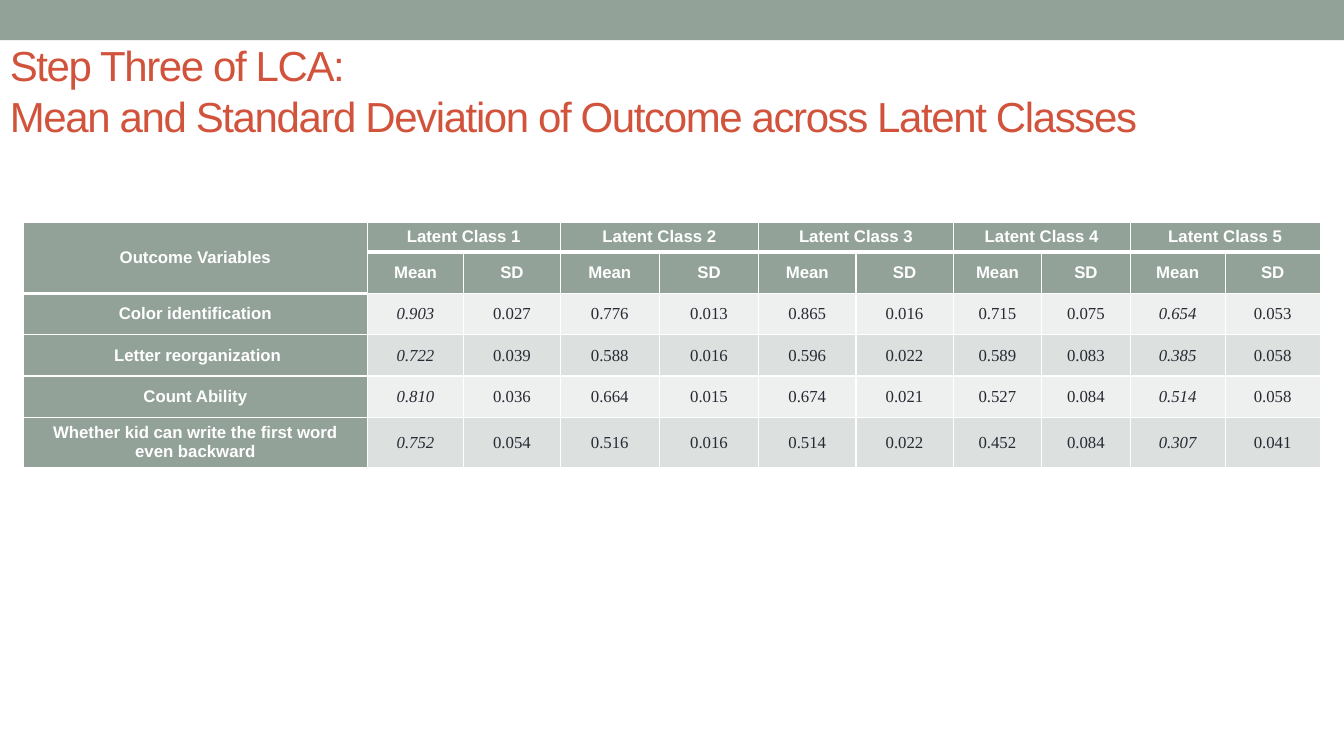
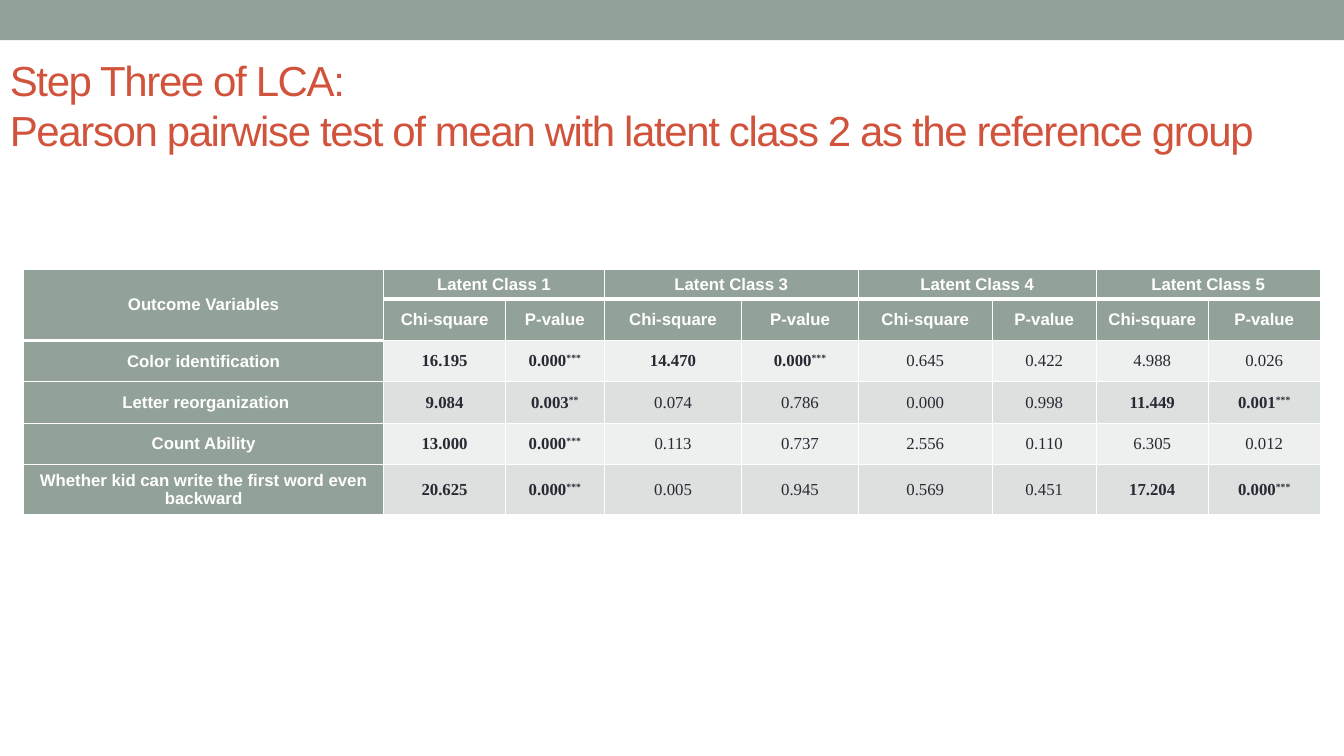
import dataclasses
import typing

import lxml.etree
import pptx
import pptx.dml.color
import pptx.enum.shapes
import pptx.enum.text
import pptx.oxml.ns
import pptx.util

Pt = pptx.util.Pt
qn = pptx.oxml.ns.qn

SAGE, RUST, INK, WHITE = "93A299", "D2533C", "292934", "FFFFFF"
BANDS = ("EEF0EF", "DCE0DE")
WIDE, HIGH = 960, 540
LEFT = 16.7
HEAD_ROW, BODY_ROW = 20.2, 29.5
THIN, THICK = 1, 3

TITLE = {"name": "Arial", "size": Pt(30)}
LABEL = {"name": "Arial", "size": Pt(12), "bold": True, "italic": False}
VALUE = {"name": "Times New Roman", "size": Pt(12), "bold": False, "italic": False}
MIDDLE = pptx.enum.text.MSO_ANCHOR.MIDDLE
CENTER = pptx.enum.text.PP_ALIGN.CENTER

LEAD = "Step Three of LCA:"
CORNER = "Outcome Variables"
TRAITS = (
    "Color identification",
    " Letter reorganization",
    "Count Ability",
    "Whether kid can write the first word even backward",
)


@dataclasses.dataclass(frozen=True)
class Box:
    x: float
    y: float
    w: float
    h: float

    def place(self) -> list:
        return [Pt(side) for side in (self.x, self.y, self.w, self.h)]


@dataclasses.dataclass(frozen=True)
class Page:
    title: str
    frame: Box
    top: float
    groups: tuple
    pair: tuple
    widths: tuple
    rows: tuple
    slanted: tuple = ()


PAGES = (
    Page(
        title="Mean and Standard Deviation of Outcome across Latent Classes",
        frame=Box(0, 46, 864, 37),
        top=158.5,
        groups=(1, 2, 3, 4, 5),
        pair=("Mean", "SD"),
        widths=(245.7, 68.9, 68.9, 70.9, 70.9, 69.5, 69.5, 63.2, 63.2, 67.9, 67.9),
        rows=(
            "0.903 0.027 0.776 0.013 0.865 0.016 0.715 0.075 0.654 0.053",
            "0.722 0.039 0.588 0.016 0.596 0.022 0.589 0.083 0.385 0.058",
            "0.810 0.036 0.664 0.015 0.674 0.021 0.527 0.084 0.514 0.058",
            "0.752 0.054 0.516 0.016 0.514 0.022 0.452 0.084 0.307 0.041",
        ),
        slanted=(1, 9),
    ),
    Page(
        title="Pearson pairwise test of mean with latent class 2 as the reference group",
        frame=Box(0, 31, 943, 88),
        top=192.2,
        groups=(1, 3, 4, 5),
        pair=("Chi-square", "P-value"),
        widths=(257.5, 86.8, 70.7, 98.2, 83.2, 95.7, 74.3, 80, 80),
        rows=(
            "16.195 0.000*** 14.470 0.000*** 0.645 0.422 4.988 0.026",
            "9.084 0.003** 0.074 0.786 0.000 0.998 11.449 0.001***",
            "13.000 0.000*** 0.113 0.737 2.556 0.110 6.305 0.012",
            "20.625 0.000*** 0.005 0.945 0.569 0.451 17.204 0.000***",
        ),
    ),
)


def tint(color: typing.Any, shade: str) -> None:
    color.rgb = pptx.dml.color.RGBColor.from_string(shade)


def flood(fill: typing.Any, shade: str) -> None:
    fill.solid()
    tint(fill.fore_color, shade)


def write(para: typing.Any, text: str, form: dict, shade: str, **marks: str) -> None:
    run = para.add_run()
    run.text = text
    for key, value in form.items():
        setattr(run.font, key, value)
    tint(run.font.color, shade)
    for key, value in marks.items():
        run._r.get_or_add_rPr().set(key, value)


def edge(cell: typing.Any, top: int, bottom: int) -> None:
    sides = {"a:lnL": THIN, "a:lnR": THIN, "a:lnT": top, "a:lnB": bottom}
    props = cell._tc.get_or_add_tcPr()
    for tag, width in sides.items():
        line = lxml.etree.SubElement(props, qn(tag), w=str(int(Pt(width))))
        solid = lxml.etree.SubElement(line, qn("a:solidFill"))
        lxml.etree.SubElement(solid, qn("a:srgbClr"), val=WHITE)


def draw_band(slide: typing.Any) -> None:
    band = slide.shapes.add_shape(
        pptx.enum.shapes.MSO_SHAPE.RECTANGLE, *Box(0, 0, WIDE, 28.8).place()
    )
    band.shadow.inherit = False
    band.line.fill.background()
    flood(band.fill, SAGE)


def draw_title(slide: typing.Any, page: Page) -> None:
    frame = slide.shapes.add_textbox(*page.frame.place()).text_frame
    frame.word_wrap = True
    frame.vertical_anchor = MIDDLE
    para = frame.paragraphs[0]
    para.line_spacing = Pt(36)
    write(para, LEAD, TITLE, RUST, spc="-100")
    para.add_line_break()
    write(para, page.title, TITLE, RUST, spc="-100")


def make_grid(page: Page) -> list:
    heads = [CORNER]
    for group in page.groups:
        heads += [f"Latent Class {group}", ""]
    names = ["", *page.pair * len(page.groups)]
    body = [[trait, *row.split()] for trait, row in zip(TRAITS, page.rows)]
    return [heads, names, *body]


def fill_cell(cell: typing.Any, page: Page, row: list, r: int, c: int) -> None:
    label = r < 2 or c == 0
    edge(
        cell,
        THICK if r == 1 or (r == 2 and c == 0) else THIN,
        THICK if r == 0 or (r == 1 and c == 0) else THIN,
    )
    flood(cell.fill, SAGE if label else BANDS[r % 2])
    cell.vertical_anchor = MIDDLE
    para = cell.text_frame.paragraphs[0]
    para.alignment = CENTER
    if not row[c]:
        return
    if label:
        write(para, row[c], LABEL, WHITE)
        return
    last = c + c % 2
    form = VALUE | {"bold": row[last].endswith("*"), "italic": c in page.slanted}
    number = row[c].rstrip("*")
    stars = row[c][len(number):]
    write(para, number, form, INK)
    if stars:
        write(para, stars, form, INK, baseline="30000")


def draw_table(slide: typing.Any, page: Page) -> None:
    grid = make_grid(page)
    heights = [HEAD_ROW] + [BODY_ROW] * (len(grid) - 1)
    box = Box(LEFT, page.top, sum(page.widths), sum(heights))
    table = slide.shapes.add_table(len(grid), len(page.widths), *box.place()).table
    table.first_row = table.horz_banding = False
    for column, width in zip(table.columns, page.widths):
        column.width = Pt(width)
    for line, height in zip(table.rows, heights):
        line.height = Pt(height)
    for r, row in enumerate(grid):
        for c in range(len(row)):
            fill_cell(table.cell(r, c), page, row, r, c)
    table.cell(0, 0).merge(table.cell(1, 0))
    for c in range(1, len(page.widths), 2):
        table.cell(0, c).merge(table.cell(0, c + 1))


def main() -> None:
    deck = pptx.Presentation()
    deck.slide_width, deck.slide_height = Pt(WIDE), Pt(HIGH)
    for page in PAGES:
        slide = deck.slides.add_slide(deck.slide_layouts[6])
        draw_band(slide)
        draw_title(slide, page)
        draw_table(slide, page)
    deck.save("out.pptx")


if __name__ == "__main__":
    main()
